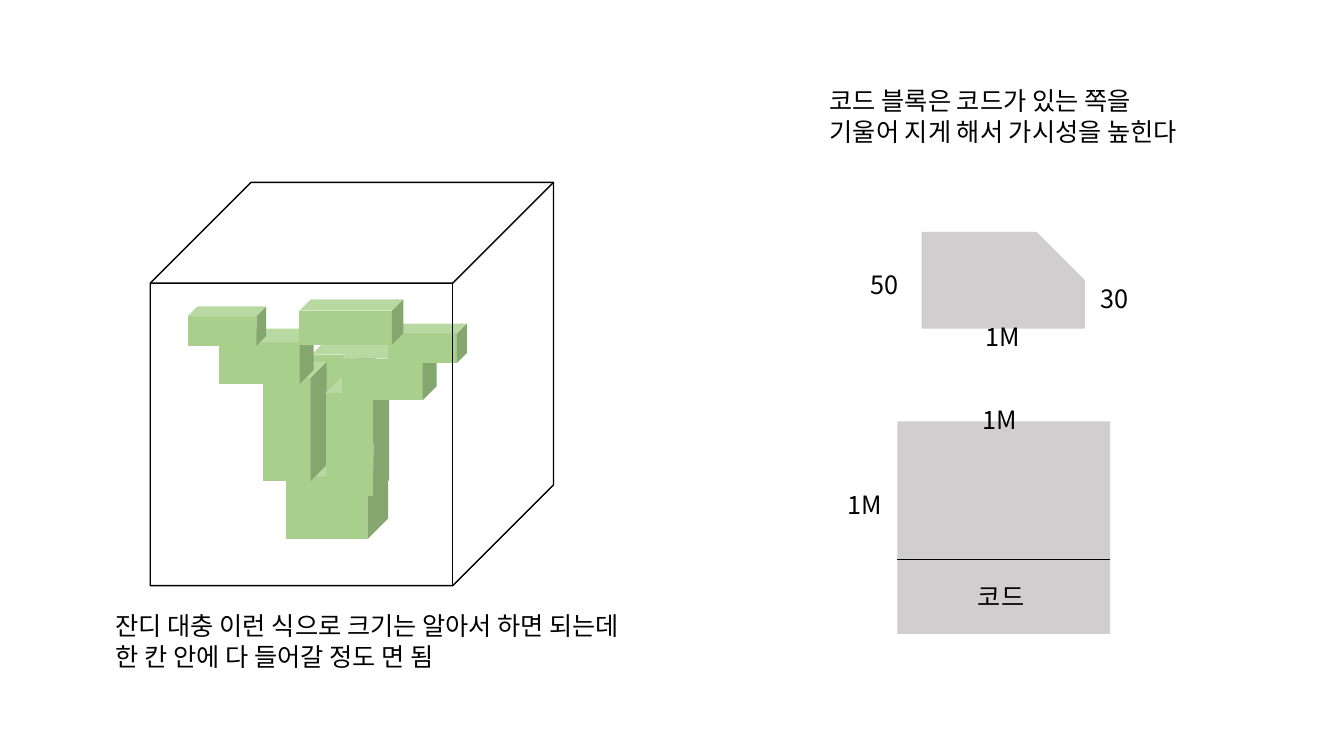
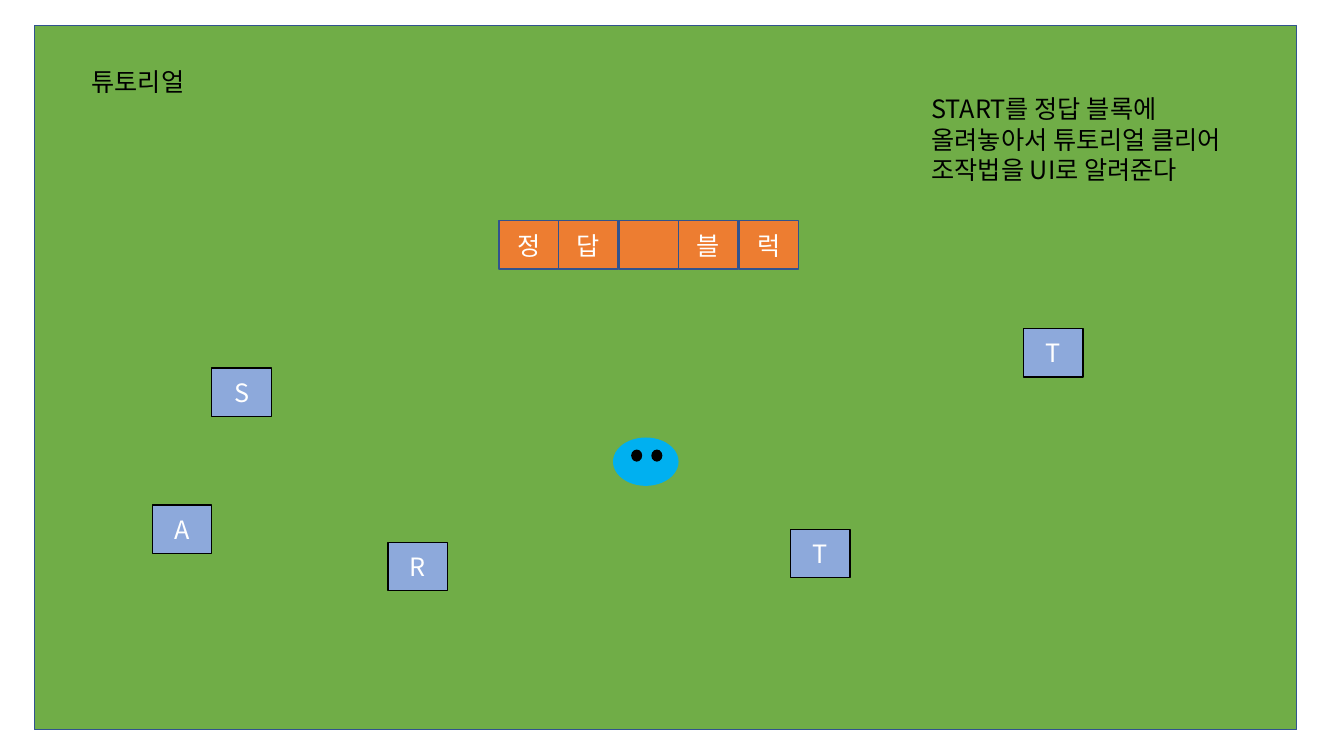
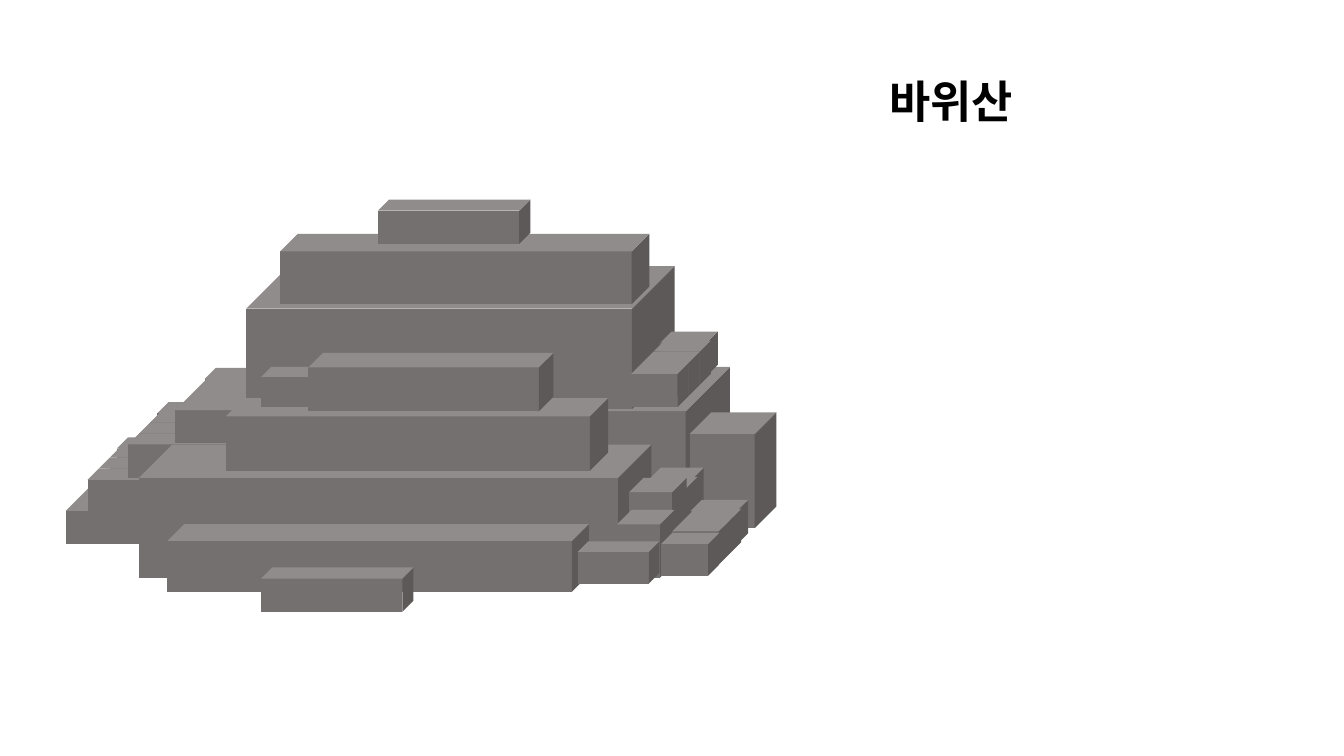
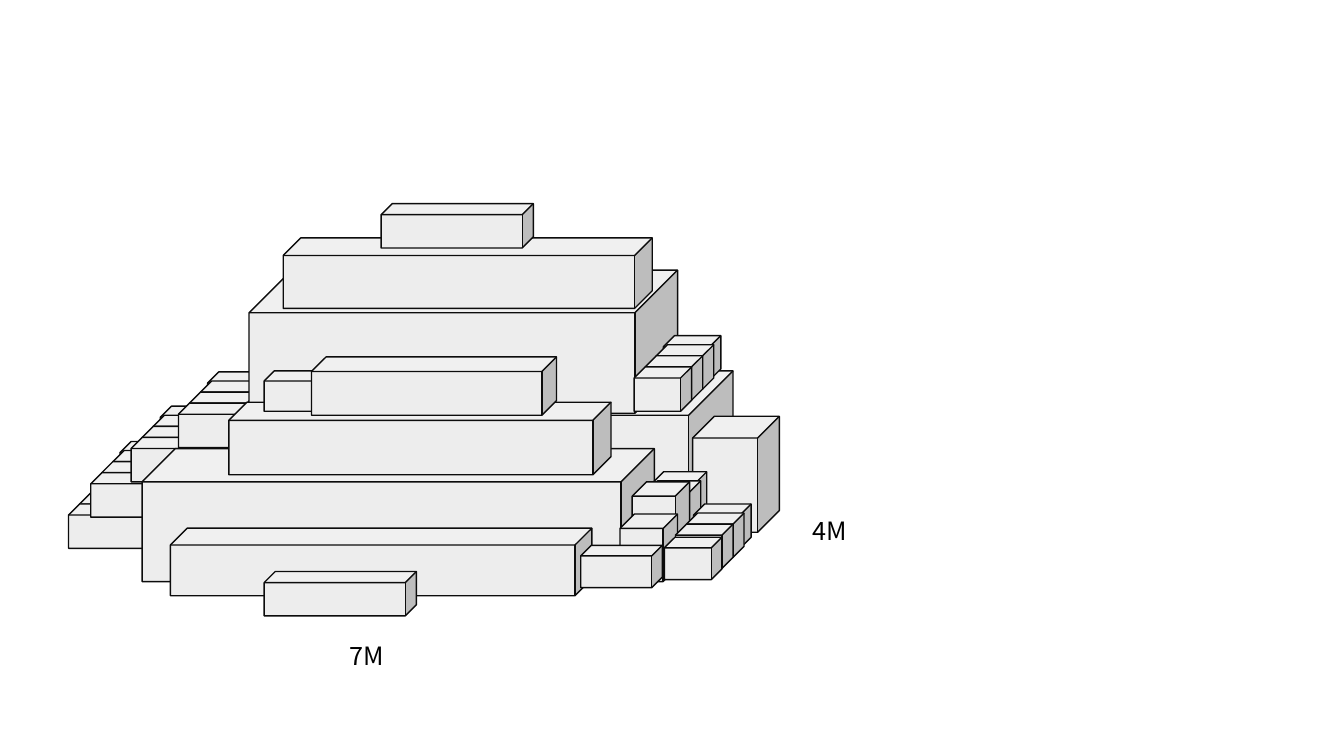
import lxml.etree
import pptx
import pptx.dml.color
import pptx.enum.shapes
import pptx.enum.text
import pptx.oxml.ns
import pptx.util

PX = 9144  # EMU in one px, 100 px to the inch
FONT = "Noto Sans CJK KR"
BLACK, WHITE = "000000", "FFFFFF"
GRASS, BLOCK, ROCK, PALE = "A8D08C", "D0CECE", "757070", "EDEDED"
FIELD, ANSWER, LETTER, SLIME = "70AD47", "ED7D31", "8DA9DB", "00B0F0"
NAVY, INK = "31538F", "0C0C0C"

KIND = pptx.enum.shapes.MSO_SHAPE
color = pptx.dml.color.RGBColor.from_string
qn = pptx.oxml.ns.qn


def add_shape(shapes, kind, box, fill=None, line=None, adj=None):
    sp = shapes.add_shape(kind, *[v * PX for v in box])
    sp.shadow.inherit = False
    if fill:
        sp.fill.solid()
        sp.fill.fore_color.rgb = color(fill)
    else:
        sp.fill.background()
    if line:
        sp.line.color.rgb = color(line)
        sp.line.width = pptx.util.Pt(1)
    else:
        sp.line.fill.background()
    if adj is not None:
        sp.adjustments[0] = adj
    return sp


def write(sp, lines, size=18, rgb=BLACK, bold=False, align=None):
    tf = sp.text_frame
    tf.word_wrap = True
    for i, line in enumerate(lines):
        p = tf.add_paragraph() if i else tf.paragraphs[0]
        p.alignment = align
        r = p.add_run()
        r.text = line
        r.font.size = pptx.util.Pt(size)
        r.font.bold = bold
        r.font.color.rgb = color(rgb)
        r.font.name = FONT
        # Korean letters take the East Asian font
        ea = lxml.etree.SubElement(r.font._element, qn("a:ea"))
        ea.set("typeface", FONT)


prs = pptx.Presentation()
prs.slide_width, prs.slide_height = 1333 * PX, 750 * PX
blocks, tutorial, mountain, outline = [
    prs.slides.add_slide(prs.slide_layouts[6]) for _ in range(4)]

# Slide 1: grass inside one cell, and the code block
grass = blocks.shapes.add_group_shape()
for box in [
    (309, 336, 63, 118), (284, 452, 101, 83), (261, 359, 63, 118),
    (217, 326, 94, 55), (186, 304, 78, 39), (323, 374, 63, 118),
    (339, 342, 94, 55), (385, 321, 78, 39), (297, 297, 103, 45),
]:
    add_shape(grass.shapes, KIND.CUBE, box, GRASS, adj=0.25)
add_shape(blocks.shapes, KIND.CUBE, (149, 181, 400, 400), line=BLACK, adj=0.25)

add_shape(blocks.shapes, KIND.SNIP_1_RECTANGLE, (914, 230, 162, 96), BLOCK, adj=0.5)
add_shape(blocks.shapes, KIND.RECTANGLE, (890, 418, 211, 211), BLOCK)
edge = blocks.shapes.add_connector(
    pptx.enum.shapes.MSO_CONNECTOR.STRAIGHT, 890 * PX, 555 * PX, 1101 * PX, 555 * PX)
edge.line.color.rgb = color(BLACK)
edge.line.width = pptx.util.Pt(0.75)
lxml.etree.SubElement(edge._element.spPr, qn("a:effectLst"))

# Slide 2: tutorial field with tiles of one size
add_shape(tutorial.shapes, KIND.RECTANGLE, (34, 25, 1252, 699), FIELD, NAVY)
answer = tutorial.shapes.add_group_shape()
tiles = [(answer.shapes, 495 + i * 238 // 4, 219, char, ANSWER, NAVY)
         for i, char in enumerate("정답 블럭")]
tiles += [(tutorial.shapes, x, y, char, LETTER, BLACK) for x, y, char in [
    (210, 365, "S"), (1015, 326, "T"), (385, 538, "R"), (784, 525, "T"), (151, 501, "A")]]
for shapes, x, y, char, fill, line in tiles:
    sp = add_shape(shapes, KIND.RECTANGLE, (x, y, 59, 48), fill, line)
    if char != " ":
        sp.text_frame.vertical_anchor = pptx.enum.text.MSO_ANCHOR.MIDDLE
        write(sp, [char], rgb=WHITE, align=pptx.enum.text.PP_ALIGN.CENTER)

slime = tutorial.shapes.add_group_shape()
add_shape(slime.shapes, KIND.OVAL, (608, 434, 65, 48), SLIME)
for x in (626, 646):
    add_shape(slime.shapes, KIND.OVAL, (x, 446, 11, 12), BLACK)

# Slides 3 and 4: one rock mountain, filled and outlined
STEPS = [(29, -31), (22, -22), (11, -11), (0, 0)]
rocks = [(x + dx, y + dy, 185, 44, 0.25)
         for x, y in [(65, 496), (87, 465), (127, 430), (174, 396)]
         for dx, dy in STEPS]
rocks += [(230, 364, 494, 176, 0.25), (244, 264, 425, 142, 0.298)]
rocks += [(626 + dx, 360 + dy, 57, 44, 0.25) for dx, dy in STEPS]
rocks += [(*box, 0.25) for box in [
    (138, 441, 508, 132), (224, 395, 379, 72), (259, 364, 70, 40),
    (278, 232, 366, 70), (306, 350, 243, 58), (684, 409, 86, 115),
    (166, 520, 418, 67), (641, 464, 57, 78), (635, 473, 57, 78),
    (624, 474, 57, 88), (612, 506, 57, 67),
]]
rocks += [(656 + dx, 527 + dy, 57, 44, 0.25) for dx, dy in STEPS[:3]]
rocks += [(*box, 0.25) for box in [
    (656, 529, 57, 42), (259, 563, 151, 44), (375, 198, 151, 44), (573, 537, 81, 42)]]
for s, dx, dy, fill, line in [(mountain, 0, 0, ROCK, None), (outline, 3, 4, PALE, INK)]:
    for x, y, w, h, adj in rocks:
        add_shape(s.shapes, KIND.CUBE, (x + dx, y + dy, w, h), fill, line, adj)

# Labels
for s, box, lines in [
    (blocks, (105, 601, 637, 71), ["잔디 대충 이런 식으로 크기는 알아서 하면 되는데",
                                   "한 칸 안에 다 들어갈 정도 면 됨"]),
    (blocks, (813, 80, 411, 71), ["코드 블록은 코드가 있는 쪽을",
                                  "기울어 지게 해서 가시성을 높힌다"]),
    (blocks, (968, 314, 112, 40), ["1M"]),
    (blocks, (960, 572, 201, 40), ["코드"]),
    (blocks, (854, 262, 48, 42), ["50"]),
    (blocks, (1082, 276, 48, 42), ["30"]),
    (blocks, (965, 396, 112, 40), ["1M"]),
    (blocks, (831, 481, 112, 40), ["1M"]),
    (tutorial, (81, 61, 159, 40), ["튜토리얼"]),
    (tutorial, (914, 88, 372, 101), ["START를 정답 블록에",
                                     "올려놓아서 튜토리얼 클리어",
                                     "조작법을 UI로 알려준다"]),
    (outline, (337, 630, 68, 40), ["7M"]),
    (outline, (796, 506, 68, 40), ["4M"]),
]:
    write(s.shapes.add_textbox(*[v * PX for v in box]), lines)
title = mountain.shapes.add_textbox(872 * PX, 68 * PX, 242 * PX, 64 * PX)
write(title, ["바위산"], size=32, bold=True)

prs.save("out.pptx")
